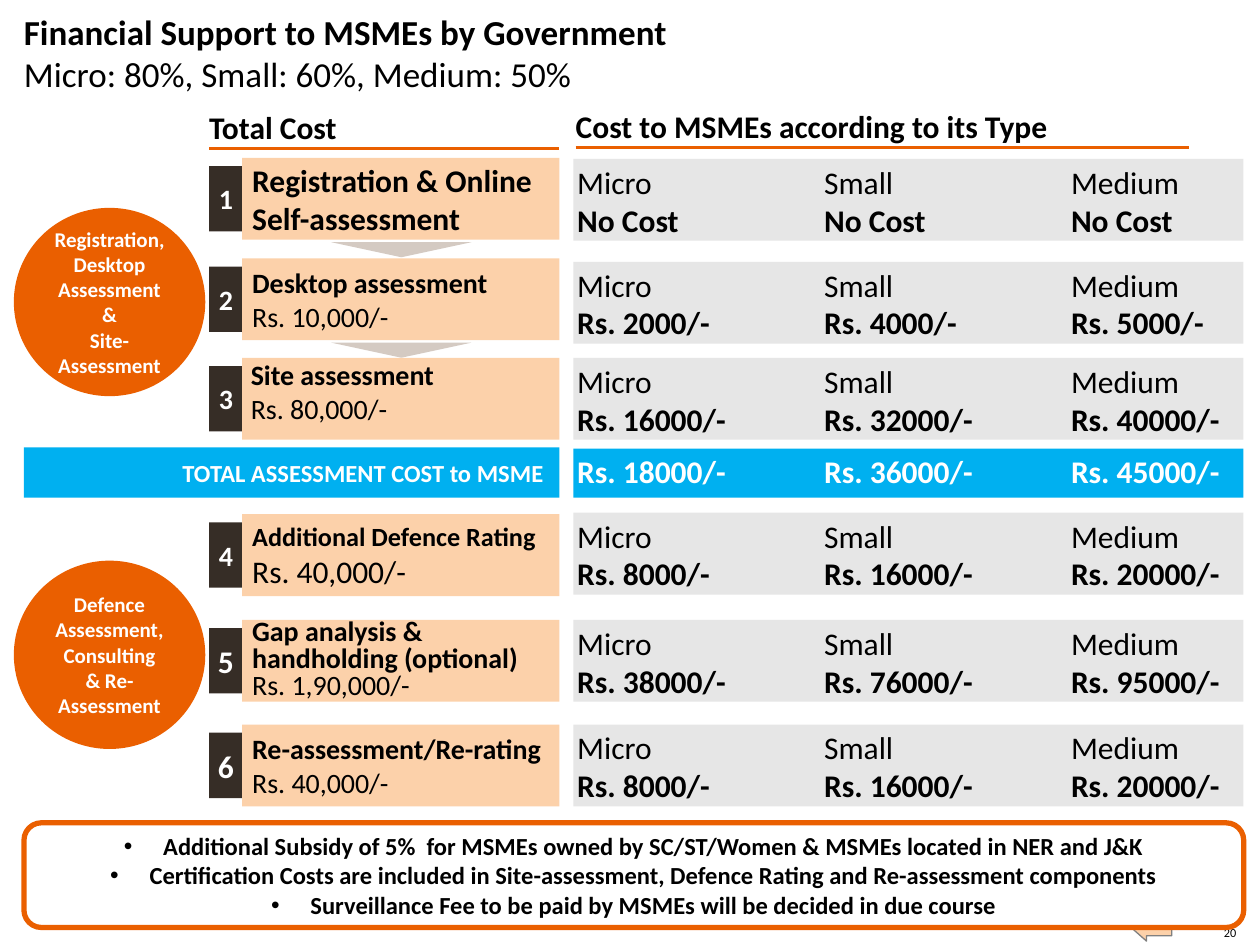
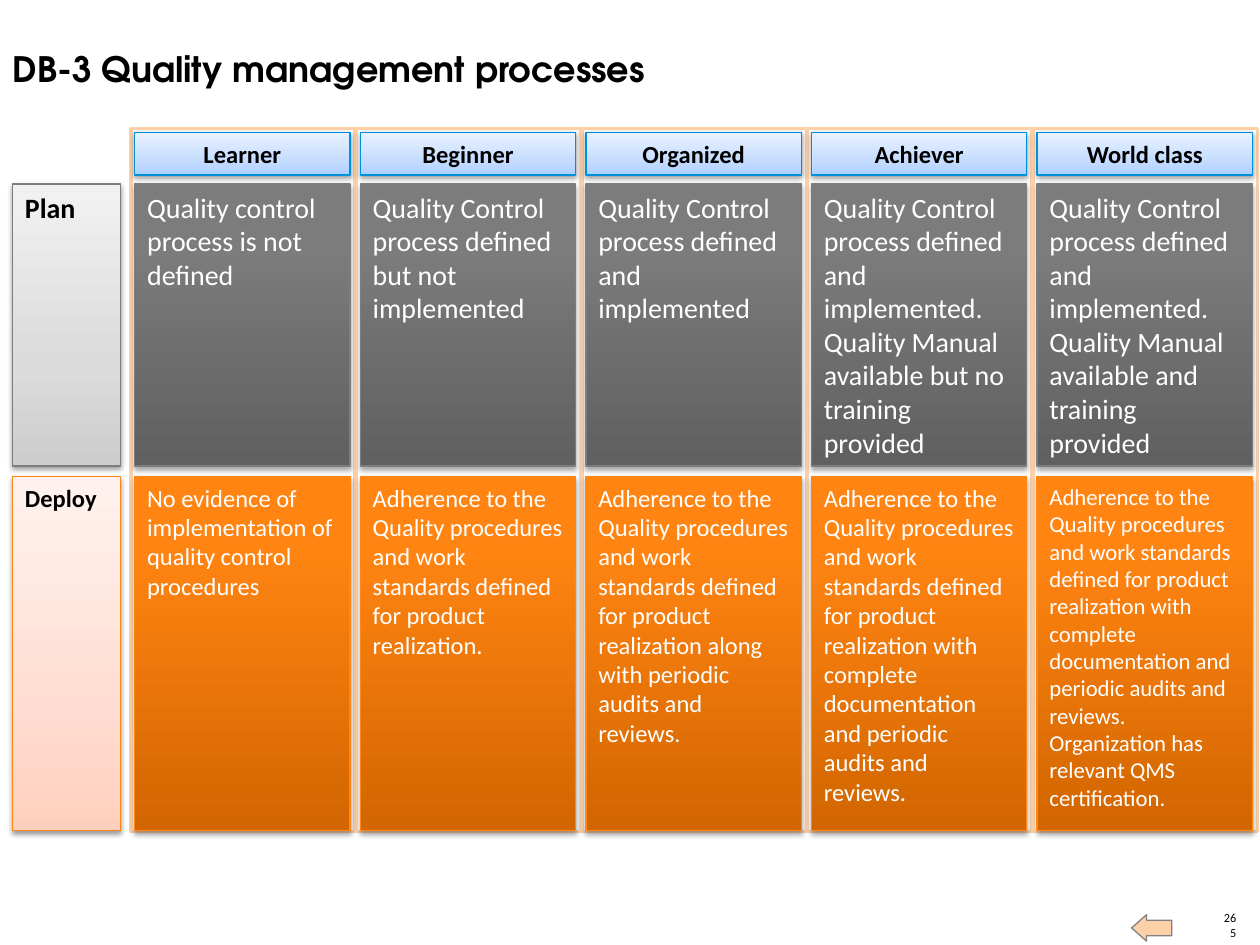
from lxml import etree
from pptx import Presentation
from pptx.dml.color import RGBColor
from pptx.enum.shapes import MSO_CONNECTOR, MSO_SHAPE
from pptx.enum.text import MSO_ANCHOR, MSO_AUTO_SIZE, PP_ALIGN
from pptx.oxml.ns import qn
from pptx.util import Pt

LEFT, CENTER, RIGHT = PP_ALIGN.LEFT, PP_ALIGN.CENTER, PP_ALIGN.RIGHT
TOP, MIDDLE, BOTTOM = MSO_ANCHOR.TOP, MSO_ANCHOR.MIDDLE, MSO_ANCHOR.BOTTOM
RECTANGLE, OVAL, TRIANGLE = MSO_SHAPE.RECTANGLE, MSO_SHAPE.OVAL, MSO_SHAPE.ISOSCELES_TRIANGLE
ROUNDED, ARROW = MSO_SHAPE.ROUNDED_RECTANGLE, MSO_SHAPE.RIGHT_ARROW

BODY_FONT, DISPLAY_FONT = "Calibri", "TeX Gyre Adventor"
COLORS = {
    "black": "000000", "white": "FFFFFF", "orange": "EA5F00", "peach": "FCD1AA",
    "gray": "E6E6E6", "mid_gray": "808080", "taupe": "D4CAC2", "brown": "362D26",
    "blue": "00B0F0",
}
# Gradient stops run from bottom to top; shadows are (opacity %, distance).
SOFT_SHADOW, CELL_SHADOW = (38, 1.6), (35, 1.8)
STYLES = {
    "header": ([(0, "AECFFF"), (35, "C6DDFF"), (100, "E9F2FF")], "008FDC", SOFT_SHADOW),
    "plan_label": ([(0, "CDCDCD"), (35, "DBDBDB"), (100, "F1F1F1")], "7D7D7D", SOFT_SHADOW),
    "deploy_label": ([(0, "FFCFBD"), (35, "FFDDD1"), (100, "FFF2EE")], "FF8615", SOFT_SHADOW),
    "plan": ([(0, "606060"), (80, "7C7C7C"), (100, "7D7D7D")], "7D7D7D", CELL_SHADOW),
    "deploy": ([(0, "D26600"), (80, "FF8412"), (100, "FF8514")], "FF8615", CELL_SHADOW),
}

SUPPORT_TITLE = [("Financial Support to MSMEs by Government", 20, True),
                 ("Micro: 80%, Small: 60%, Medium: 50%", 20, False)]
HEADINGS = [("Total Cost", 119.5, 61.9, 200.2),
            ("Cost to MSMEs according to its Type", 329, 61.2, 350.6)]
MSME_TYPES = ("Micro", "Small", "Medium")
# step top, cost top, number size, step lines, cost per type
STEPS = [
    (90.2, 90.8, 16, [("Registration & Online Self-assessment", 18, True)], ("No Cost",) * 3),
    (147.6, 149.6, 16, [("Desktop assessment", 16, True), ("Rs. 10,000/-", 16, False)],
     ("Rs. 2000/-", "Rs. 4000/-", "Rs. 5000/-")),
    (204.5, 204.5, 16, [("Site assessment", 16, True), ("Rs. 80,000/-", 16, False)],
     ("Rs. 16000/-", "Rs. 32000/-", "Rs. 40000/-")),
    (293.8, 293, 16, [("Additional Defence Rating", 15, True), ("Rs. 40,000/-", 18, False)],
     ("Rs. 8000/-", "Rs. 16000/-", "Rs. 20000/-")),
    (354.2, 354.2, 18, [("Gap analysis & handholding (optional)", 16, True),
                        ("Rs. 1,90,000/-", 16, False)],
     ("Rs. 38000/-", "Rs. 76000/-", "Rs. 95000/-")),
    (414, 414, 18, [("Re-assessment/Re-rating", 16, True), ("Rs. 40,000/-", 16, False)],
     ("Rs. 8000/-", "Rs. 16000/-", "Rs. 20000/-")),
]
SITE_STEP, GAP_STEP = 3, 5
TOTAL_LABEL = "TOTAL ASSESSMENT COST to MSME"
TOTALS = ("Rs. 18000/-", "Rs. 36000/-", "Rs. 45000/-")
PHASES = [
    (118.8, ["Registration,", "Desktop", "Assessment", "&", "Site-", "Assessment"]),
    (320.4, ["Defence", "Assessment,", "Consulting", "& Re-", "Assessment"]),
]
NOTES = [
    "Additional Subsidy of 5%  for MSMEs owned by SC/ST/Women & MSMEs located in NER and J&K",
    "Certification Costs are included in Site-assessment, Defence Rating and "
    "Re-assessment components",
    "Surveillance Fee to be paid by MSMEs will be decided in due course",
]

QUALITY_TITLE = "DB-3 Quality management processes"
DEFINED = "Quality Control process defined "
ADHERENCE = "Adherence to the Quality procedures and work standards defined for product realization"
DOCUMENTED = ADHERENCE + " with complete documentation and periodic audits and reviews."
# level, plan, deploy, deploy size
LEVELS = [
    ("Learner", "Quality control process is not defined",
     "No evidence of implementation of quality control procedures", 14),
    ("Beginner", DEFINED + "but not implemented", ADHERENCE + ".", 14),
    ("Organized", DEFINED + "and implemented",
     ADHERENCE + " along with periodic audits and reviews.", 14),
    ("Achiever", DEFINED + "and implemented. Quality Manual available but no training provided",
     DOCUMENTED, 14),
    ("World class", DEFINED + "and implemented. Quality Manual available and training provided",
     DOCUMENTED + " Organization has relevant QMS certification.", 13),
]

STEP_LEFT, STEP_WIDTH, STEP_HEIGHT = 138.3, 181.4, 46.8
NUMBER_LEFT, NUMBER_WIDTH, NUMBER_HEIGHT = 119.5, 19.2, 37.4
COST_LEFT, COST_WIDTH, COST_TAB = 327.6, 383, 141.1
LEVEL_LEFT, LEVEL_STEP, LEVEL_WIDTH = 77, 128.9, 123.1
HEADER_ROW, PLAN_ROW, DEPLOY_ROW = (75.6, 24.5), (105.1, 161.3), (272.2, 202.3)
DEFAULT_INSETS, TIGHT_INSETS, STEP_INSETS = (7.2, 3.6, 7.2, 3.6), (0, 0, 0, 0), (5.8,) * 4


def rgb(name):
    return RGBColor.from_string(COLORS.get(name, name))


def points(*values):
    return [Pt(value) for value in values]


def write(shape, lines, color="black", align=LEFT, anchor=TOP, insets=DEFAULT_INSETS,
          wrap=True, font=BODY_FONT):
    """Fill a shape with (text, size, bold) lines, one paragraph each."""
    frame = shape.text_frame
    frame.text = "\n".join(text for text, _, _ in lines)
    frame.auto_size = MSO_AUTO_SIZE.NONE
    frame.word_wrap = wrap
    frame.vertical_anchor = anchor
    (frame.margin_left, frame.margin_top,
     frame.margin_right, frame.margin_bottom) = points(*insets)
    for paragraph, (_, size, bold) in zip(frame.paragraphs, lines):
        paragraph.alignment = align
        for run in paragraph.runs:
            run.font.name, run.font.size, run.font.bold = font, Pt(size), bold
            run.font.color.rgb = rgb(color)
    return frame


def add_box(slide, kind, box, fill=None, line=None, line_width=0.75):
    shape = slide.shapes.add_shape(kind, *points(*box))
    shape.shadow.inherit = False
    if fill:
        shape.fill.solid()
        shape.fill.fore_color.rgb = rgb(fill)
    if line:
        shape.line.color.rgb = rgb(line)
        shape.line.width = Pt(line_width)
    else:
        shape.line.fill.background()
    return shape


def add_child(parent, tag, **attributes):
    return etree.SubElement(parent, qn(tag), {key: str(value) for key, value in attributes.items()})


def add_styled_box(slide, box, style):
    """Add a rectangle with a vertical gradient and a drop shadow."""
    stops, line, (opacity, distance) = STYLES[style]
    shape = add_box(slide, RECTANGLE, box, line=line)
    shape.fill.gradient()
    shape.fill.gradient_angle = 90
    properties = shape._element.spPr
    stop_list = properties.find(qn("a:gradFill")).find(qn("a:gsLst"))
    for stop in list(stop_list):
        stop_list.remove(stop)
    for position, color in stops:
        add_child(add_child(stop_list, "a:gs", pos=position * 1000), "a:srgbClr", val=color)
    shadow = add_child(properties.find(qn("a:effectLst")), "a:outerShdw", blurRad=Pt(3.1),
                       dist=Pt(distance), dir=5400000, rotWithShape=0)
    add_child(add_child(shadow, "a:srgbClr", val=COLORS["black"]), "a:alpha", val=opacity * 1000)
    return shape


def start_slide(presentation, number, title_box, title_lines, **title_format):
    """Add a title-only slide with its title, page number and back arrow."""
    slide = presentation.slides.add_slide(presentation.slide_layouts[5])
    title = slide.shapes.title
    title.left, title.top, title.width, title.height = points(*title_box)
    write(title, title_lines, **title_format)
    page = slide.shapes.add_textbox(*points(697.7, 528.5, 8.8, 8.6))
    write(page, [(number, 7, False)], align=RIGHT, anchor=BOTTOM, insets=TIGHT_INSETS)
    arrow = add_box(slide, ARROW, (646.6, 522.7, 23, 15.1), "peach", "mid_gray")
    arrow.rotation = 180
    arrow.adjustments[0], arrow.adjustments[1] = 0.588, 0.565
    return slide


def add_heading(slide, text, left, top, width):
    heading = slide.shapes.add_textbox(*points(left, top, width, 23))
    write(heading, [(text, 18, True)], anchor=BOTTOM, insets=(0, 0, 0, 1.4))
    rule = slide.shapes.add_connector(MSO_CONNECTOR.STRAIGHT,
                                      *points(left, top + 23, left + width, top + 23))
    rule.line.color.rgb = rgb("orange")
    rule.line.width = Pt(1.5)
    add_child(rule._element.spPr, "a:effectLst")


def add_costs(slide, top, height, rows, fill, color):
    """Add a band with one tabbed column for each MSME type."""
    band = add_box(slide, RECTANGLE, (COST_LEFT, top, COST_WIDTH, height), fill)
    lines = [("\t".join(values), 18, bold) for values, bold in rows]
    for paragraph in write(band, lines, color, insets=(2.2,) * 4).paragraphs:
        tabs = add_child(paragraph._p.get_or_add_pPr(), "a:tabLst")
        for column in (1, 2):
            add_child(tabs, "a:tab", pos=Pt(column * COST_TAB), algn="l")


def add_step(slide, number, top, number_size, lines):
    tab = add_box(slide, RECTANGLE, (NUMBER_LEFT, top + 4.7, NUMBER_WIDTH, NUMBER_HEIGHT), "brown")
    write(tab, [(str(number), number_size, True)], "white", CENTER, MIDDLE, TIGHT_INSETS)
    card = add_box(slide, RECTANGLE, (STEP_LEFT, top, STEP_WIDTH, STEP_HEIGHT), "peach")
    if number == SITE_STEP:
        write(card, lines, insets=(5, 0, 5, 0))
        return
    frame = write(card, lines, anchor=MIDDLE, insets=STEP_INSETS)
    if number == GAP_STEP:
        for paragraph in frame.paragraphs:
            paragraph.line_spacing = 0.8


def build_support_slide(presentation):
    slide = start_slide(presentation, "20", (13.7, 5.8, 550.8, 48.2), SUPPORT_TITLE,
                        anchor=BOTTOM, insets=TIGHT_INSETS)
    for heading in HEADINGS:
        add_heading(slide, *heading)
    for top, words in PHASES:
        circle = add_box(slide, OVAL, (7.9, top, 109.4, 107.6), "orange")
        write(circle, [(word, 12, True) for word in words], "white", CENTER, MIDDLE, wrap=False)
    for top, *_ in STEPS[:2]:
        pointer = add_box(slide, TRIANGLE, (189.4, top + 48.2, 79.9, 8.6), "taupe")
        pointer.rotation = 180
    for number, (top, cost_top, number_size, lines, costs) in enumerate(STEPS, 1):
        add_step(slide, number, top, number_size, lines)
        add_costs(slide, cost_top, STEP_HEIGHT, [(MSME_TYPES, False), (costs, True)],
                  "gray", "black")

    total = add_box(slide, RECTANGLE, (13.7, 255.6, 306, 28.8), "blue")
    write(total, [(TOTAL_LABEL, 14, True)], "white", RIGHT, MIDDLE, (5.8, 5.8, 9, 5.8))
    add_costs(slide, 256.3, 28.1, [(TOTALS, True)], "blue", "white")

    notes = add_box(slide, ROUNDED, (13.7, 470.2, 697, 59.8), "white", "orange", 3)
    frame = write(notes, [(note, 14, True) for note in NOTES], align=CENTER, anchor=MIDDLE,
                  insets=STEP_INSETS)
    for paragraph in frame.paragraphs:
        properties = paragraph._p.get_or_add_pPr()
        properties.set("marL", str(Pt(22.5)))
        properties.set("indent", str(Pt(-22.5)))
        add_child(properties, "a:buFont", typeface="Arial")
        add_child(properties, "a:buChar", char="•")


def build_quality_slide(presentation):
    slide = start_slide(presentation, "265", (0, 23.8, 619.2, 31.7),
                        [(QUALITY_TITLE, 20, True)], font=DISPLAY_FONT)
    for text, size, row, style in [("Plan", 16, PLAN_ROW, "plan_label"),
                                   ("Deploy", 14, DEPLOY_ROW, "deploy_label")]:
        top, height = row
        label = add_styled_box(slide, (7.2, top, 61.9, height), style)
        write(label, [(text, size, True)])

    lefts = [LEVEL_LEFT + index * LEVEL_STEP for index in range(len(LEVELS))]
    for left in lefts:
        add_box(slide, RECTANGLE, (left - 2.2, 73.4, 128.2, 401.8), "white", "peach", 2)
    for left, (level, plan, deploy, deploy_size) in zip(lefts, LEVELS):
        for text, size, (top, height), style in [(plan, 16, PLAN_ROW, "plan"),
                                                 (deploy, deploy_size, DEPLOY_ROW, "deploy")]:
            cell = add_styled_box(slide, (left, top, LEVEL_WIDTH, height), style)
            write(cell, [(text, size, False)], "white")
        top, height = HEADER_ROW
        header = add_styled_box(slide, (left, top, LEVEL_WIDTH, height), "header")
        write(header, [(level, 14, True)], align=CENTER, anchor=MIDDLE)


def main():
    presentation = Presentation()
    presentation.slide_width, presentation.slide_height = points(720, 540)
    build_support_slide(presentation)
    build_quality_slide(presentation)
    presentation.save("out.pptx")


if __name__ == "__main__":
    main()
